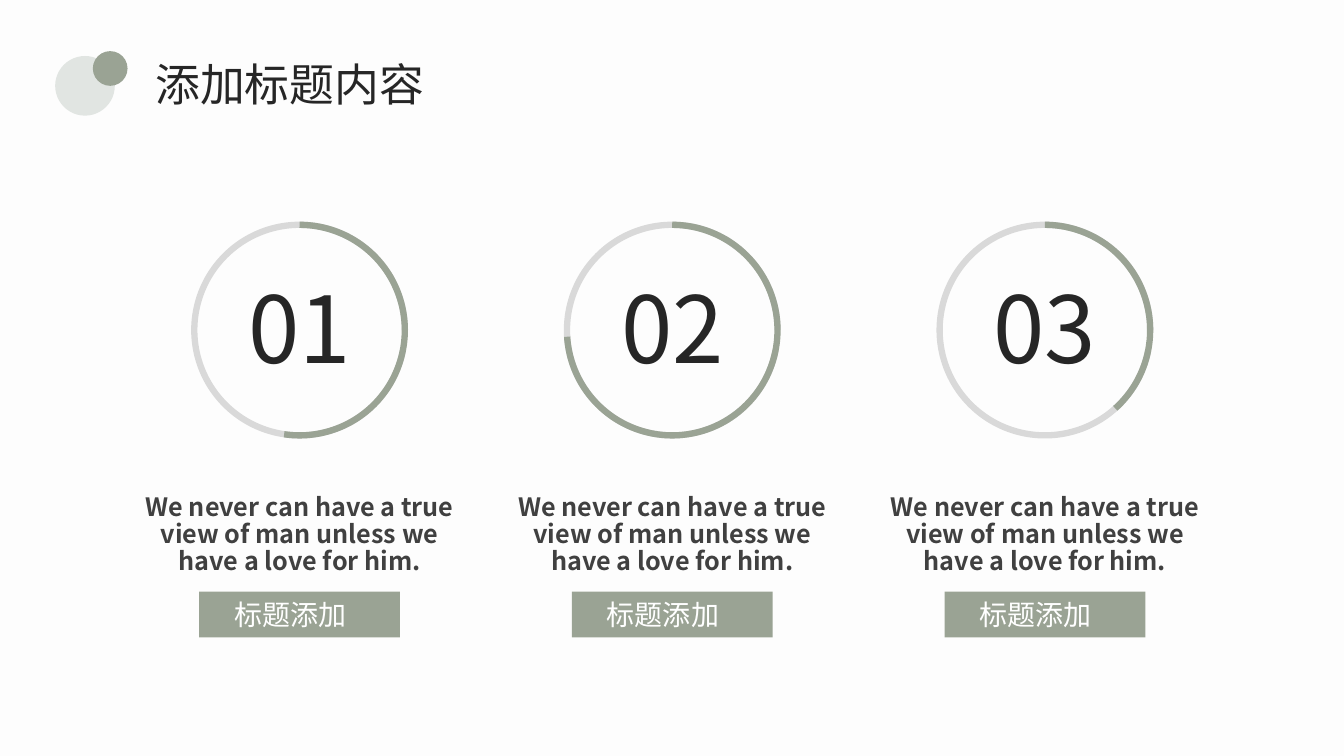
from lxml.etree import SubElement
from pptx import Presentation
from pptx.dml.color import RGBColor
from pptx.enum.shapes import MSO_SHAPE
from pptx.enum.text import MSO_ANCHOR, MSO_AUTO_SIZE, PP_ALIGN
from pptx.oxml.ns import qn
from pptx.util import Pt

FONT = "Noto Sans CJK SC"
SAGE, MIST, GREY = "9AA394", "E1E5E2", "D9D9D9"
DARK, BODY, WHITE = "262626", "404040", "FFFFFF"


def paint(color_format, color):
    color_format.rgb = RGBColor.from_string(color)


def write(sp, text, size, color, align, bold=False, wrap=True):
    """Fill a shape with one vertically centred paragraph and return it."""
    tf = sp.text_frame
    tf.word_wrap = wrap
    tf.auto_size = MSO_AUTO_SIZE.NONE
    tf.vertical_anchor = MSO_ANCHOR.MIDDLE
    p = tf.paragraphs[0]
    p.alignment = align
    r = p.add_run()
    r.text = text
    r.font.size = Pt(size)
    r.font.bold = bold
    r.font.name = FONT
    paint(r.font.color, color)
    SubElement(r.font._element, qn("a:ea")).set("typeface", FONT)
    return p


prs = Presentation()
prs.slide_width, prs.slide_height = Pt(960), Pt(540)
s = prs.slides.add_slide(prs.slide_layouts[5])
s.background.fill.solid()
paint(s.background.fill.fore_color, "FDFDFD")

# Title with its two dots
title = s.shapes.title
title.left, title.top, title.width, title.height = Pt(103.7), Pt(36.7), Pt(208), Pt(46)
write(title, "添加标题内容", 32, DARK, PP_ALIGN.LEFT, wrap=False)
for left, top, size, color in ((39.4, 40, 42.6, MIST), (66.3, 36.5, 24.8, SAGE)):
    dot = s.shapes.add_shape(MSO_SHAPE.OVAL, Pt(left), Pt(top), Pt(size), Pt(size))
    dot.shadow.inherit = False
    dot.fill.solid()
    paint(dot.fill.fore_color, color)
    dot.line.fill.background()

# Three columns: progress ring, number, quote and label
RING = 150.4
TOP_OF_RING = 270
for i, end_angle in enumerate((98.4, 176.4, 48)):
    center = 214 + 266.2 * i

    for start, end, color in ((11.25, 0, GREY), (TOP_OF_RING, end_angle, SAGE)):
        arc = s.shapes.add_shape(MSO_SHAPE.ARC, Pt(center - RING / 2), Pt(160.6),
                                 Pt(RING), Pt(RING))
        arc.shadow.inherit = False
        arc.fill.background()
        # Arc angles are stored in 60000ths of a degree, adjustments in 100000ths
        arc.adjustments[0] = start * 0.6
        arc.adjustments[1] = end * 0.6
        arc.line.width = Pt(4.5)
        paint(arc.line.color, color)

    number = s.shapes.add_textbox(Pt(center - 74), Pt(189.4), Pt(148), Pt(87))
    write(number, f"{i + 1:02}", 66, DARK, PP_ALIGN.CENTER)

    quote = s.shapes.add_textbox(Pt(center - 126.5), Pt(349.2), Pt(253), Pt(66.2))
    p = write(quote, "We never can have a true view of man unless we have a love for him.",
              18, BODY, PP_ALIGN.CENTER, bold=True)
    p.line_spacing = 0.9

    label = s.shapes.add_shape(MSO_SHAPE.RECTANGLE, Pt(center - 71.7), Pt(422.7),
                               Pt(143.4), Pt(32.6))
    label.shadow.inherit = False
    label.fill.solid()
    paint(label.fill.fore_color, SAGE)
    label.line.fill.background()
    write(label, "标题添加", 20, WHITE, PP_ALIGN.LEFT)
    label.text_frame.margin_left = Pt(25)

prs.save("out.pptx")
